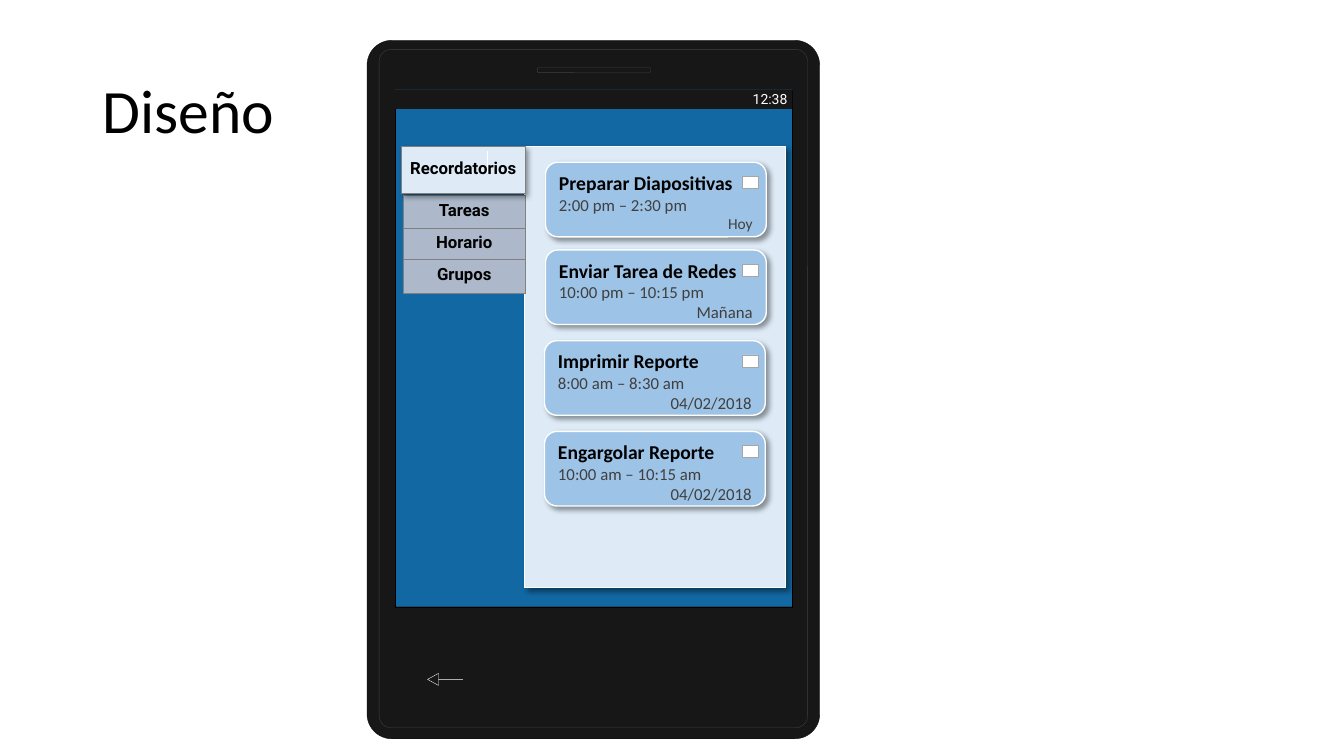
from dataclasses import dataclass

from lxml import etree
from pptx import Presentation
from pptx import util as u
from pptx.dml.color import RGBColor
from pptx.enum import shapes, text
from pptx.oxml import ns

BLACK = RGBColor(0x00, 0x00, 0x00)
WHITE = RGBColor(0xFF, 0xFF, 0xFF)
BODY = RGBColor(0x18, 0x17, 0x17)
EDGE = RGBColor(0x0D, 0x0D, 0x0D)
DARK_GREY = RGBColor(0x40, 0x40, 0x40)
MID_GREY = RGBColor(0x80, 0x80, 0x80)
LIGHT_GREY = RGBColor(0xA6, 0xA6, 0xA6)
SCREEN = RGBColor(0x12, 0x68, 0xA2)
PANEL = RGBColor(0xDE, 0xEB, 0xF7)
TAB = RGBColor(0xAD, 0xB9, 0xCA)
CARD = RGBColor(0x9D, 0xC3, 0xE6)

RECT = shapes.MSO_SHAPE.RECTANGLE
ROUND = shapes.MSO_SHAPE.ROUNDED_RECTANGLE
ARROW = shapes.MSO_SHAPE.LEFT_ARROW
LEFT, CENTER, RIGHT = (text.PP_ALIGN.LEFT, text.PP_ALIGN.CENTER,
                       text.PP_ALIGN.RIGHT)


@dataclass
class Box:
    left: float
    top: float
    width: float
    height: float
    fill: RGBColor
    line: RGBColor | None = None
    kind: int = ROUND
    adj: tuple = ()
    weight: float = 0.25
    shadow: bool = False


@dataclass
class Tab:
    label: str
    box: Box


@dataclass
class Reminder:
    name: str
    hours: str
    day: str
    left: float
    top: float
    day_size: float = 12


PHONE = [
    Box(3.64, 0.4, 4.49, 6.93, BODY, EDGE, adj=(0.055,)),
    Box(3.76, 0.49, 4.25, 6.73, BODY, DARK_GREY, adj=(0.028,)),
    Box(3.92, 0.89, 3.94, 5.13, SCREEN, BLACK, RECT),
    Box(4.24, 6.68, 0.35, 0.12, BODY, WHITE, ARROW, (0, 0.912)),
    Box(5.33, 0.67, 1.12, 0.05, BODY, DARK_GREY),
]
STATUS_BAR = Box(3.92, 0.89, 3.94, 0.19, BODY, kind=RECT)
CONTENT = Box(5.2, 1.45, 2.59, 4.38, PANEL, WHITE, RECT, shadow=True)
TABS = [
    Tab("Tareas", Box(4, 1.94, 1.21, 0.32, TAB, MID_GREY, RECT)),
    Tab("Horario", Box(4, 2.26, 1.21, 0.31, TAB, MID_GREY, RECT)),
    Tab("Grupos", Box(4, 2.57, 1.21, 0.34, TAB, MID_GREY, RECT)),
    Tab("Recordatorios",
        Box(3.98, 1.45, 1.23, 0.47, PANEL, MID_GREY, RECT, shadow=True)),
]
REMINDERS = [
    Reminder("Preparar Diapositivas", "2:00 pm – 2:30 pm", "Hoy", 5.41, 1.61, 11),
    Reminder("Enviar Tarea de Redes", "10:00 pm – 10:15 pm", "Mañana", 5.41, 2.48),
    Reminder("Imprimir Reporte", "8:00 am – 8:30 am", "04/02/2018", 5.4, 3.38),
    Reminder("Engargolar Reporte", "10:00 am – 10:15 am", "04/02/2018", 5.4, 4.28),
]


def add_shadow(sp) -> None:
    effects = sp._element.spPr.find(ns.qn("a:effectLst"))
    outer = etree.SubElement(effects, ns.qn("a:outerShdw"),
                             blurRad=str(u.Pt(4)), dist=str(u.Pt(3)),
                             dir="2700000", algn="tl", rotWithShape="0")
    colour = etree.SubElement(outer, ns.qn("a:srgbClr"), val=str(BLACK))
    etree.SubElement(colour, ns.qn("a:alpha"), val="40000")


def add_box(s, box: Box):
    sp = s.shapes.add_shape(box.kind, u.Inches(box.left), u.Inches(box.top),
                            u.Inches(box.width), u.Inches(box.height))
    for i, value in enumerate(box.adj):
        sp.adjustments[i] = value
    sp.shadow.inherit = False
    sp.fill.solid()
    sp.fill.fore_color.rgb = box.fill
    if box.line is None:
        sp.line.fill.background()
    else:
        sp.line.color.rgb = box.line
        sp.line.width = u.Pt(box.weight)
    if box.shadow:
        add_shadow(sp)
    return sp


def write(p, content: str, *, size: float, font: str = "Calibri",
          color: RGBColor = BLACK, bold: bool = False, align=LEFT) -> None:
    p.alignment = align
    r = p.add_run()
    r.text = content
    r.font.size = u.Pt(size)
    r.font.name = font
    r.font.bold = bold
    r.font.color.rgb = color


def set_frame(tf, top: float = 0.05, wrap: bool = True) -> None:
    tf.margin_left = tf.margin_right = tf.margin_bottom = u.Inches(0.05)
    tf.margin_top = u.Inches(top)
    tf.vertical_anchor = text.MSO_ANCHOR.MIDDLE
    tf.word_wrap = wrap


def add_title(s, content: str) -> None:
    sp = s.shapes.title
    sp.left, sp.top = u.Inches(0.92), u.Inches(0.4)
    sp.width, sp.height = u.Inches(11.5), u.Inches(1.45)
    tf = sp.text_frame
    tf.vertical_anchor = text.MSO_ANCHOR.MIDDLE
    p = tf.paragraphs[0]
    p.line_spacing = 0.9
    write(p, content, size=44)


def add_tab(s, tab: Tab) -> None:
    tf = add_box(s, tab.box).text_frame
    set_frame(tf, top=0.01, wrap=False)
    write(tf.paragraphs[0], tab.label, size=12, font="Roboto", bold=True,
          align=CENTER)


def add_cursor(s) -> None:
    cursor = s.shapes.add_connector(shapes.MSO_CONNECTOR.STRAIGHT,
                                    u.Inches(4.83), u.Inches(1.5),
                                    u.Inches(4.83), u.Inches(1.72))
    cursor.line.color.rgb = WHITE
    cursor.line.width = u.Pt(0.25)
    etree.SubElement(cursor._element.spPr, ns.qn("a:effectLst"))


def add_reminder(s, item: Reminder) -> None:
    card = Box(item.left, item.top, 2.19, 0.74, CARD, WHITE, weight=1, shadow=True)
    tf = add_box(s, card).text_frame
    tf.vertical_anchor = text.MSO_ANCHOR.TOP
    tf.word_wrap = True
    write(tf.paragraphs[0], item.name, size=14, bold=True)
    write(tf.add_paragraph(), item.hours, size=12, color=DARK_GREY)
    write(tf.add_paragraph(), item.day, size=item.day_size, color=DARK_GREY,
          align=RIGHT)
    add_box(s, Box(7.36, item.top + 0.14, 0.16, 0.12, WHITE, LIGHT_GREY, RECT))


def main() -> None:
    prs = Presentation()
    prs.slide_width, prs.slide_height = u.Inches(13.33), u.Inches(7.5)
    s = prs.slides.add_slide(prs.slide_layouts[5])
    add_title(s, "Diseño")
    for box in PHONE:
        add_box(s, box)
    tf = add_box(s, STATUS_BAR).text_frame
    set_frame(tf)
    write(tf.paragraphs[0], "12:38", size=10, font="Roboto", color=WHITE,
          align=RIGHT)
    add_box(s, CONTENT)
    for tab in TABS:
        add_tab(s, tab)
    add_cursor(s)
    for item in REMINDERS:
        add_reminder(s, item)
    prs.save("out.pptx")


if __name__ == "__main__":
    main()
